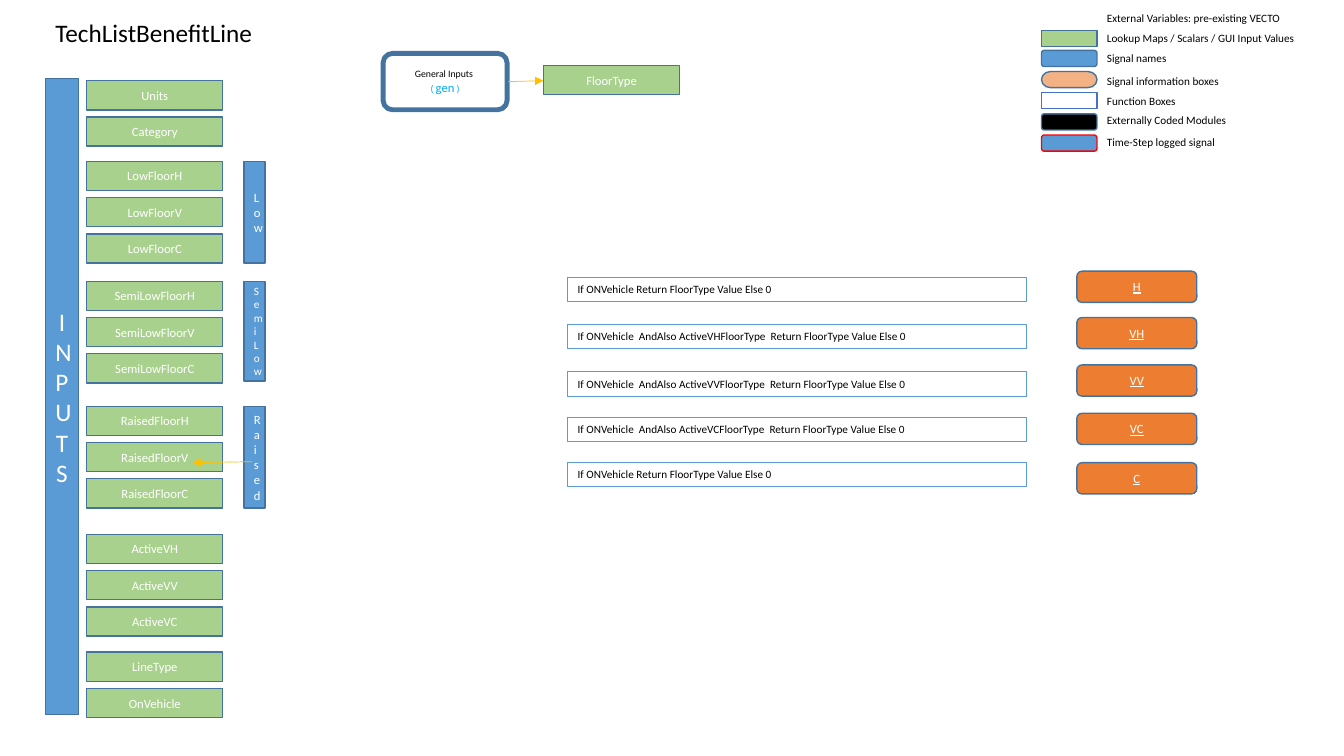
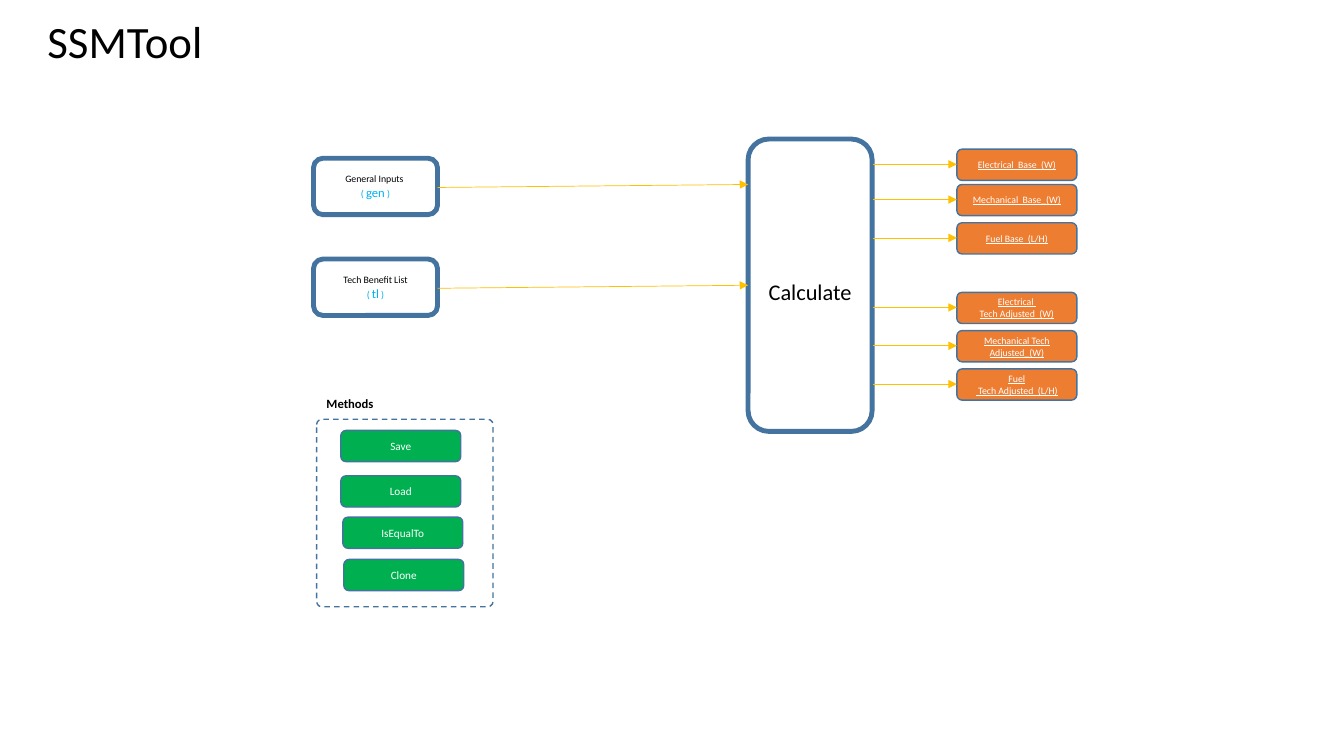
from lxml.etree import SubElement
from pptx import Presentation
from pptx.dml.color import RGBColor
from pptx.enum.dml import MSO_LINE
from pptx.enum.shapes import MSO_CONNECTOR, MSO_SHAPE
from pptx.enum.text import MSO_ANCHOR, MSO_AUTO_SIZE, PP_ALIGN
from pptx.oxml.ns import qn
from pptx.util import Inches, Pt

FONT = "Calibri"
BLACK = RGBColor(0x00, 0x00, 0x00)
WHITE = RGBColor(0xFF, 0xFF, 0xFF)
BLUE = RGBColor(0x5B, 0x9B, 0xD5)
DARK_BLUE = RGBColor(0x43, 0x73, 0x9E)
ROYAL_BLUE = RGBColor(0x44, 0x72, 0xC4)
SKY_BLUE = RGBColor(0x00, 0xB0, 0xF0)
LIGHT_GREEN = RGBColor(0xA9, 0xD1, 0x8E)
GREEN = RGBColor(0x00, 0xB0, 0x50)
ORANGE = RGBColor(0xED, 0x7D, 0x31)
PEACH = RGBColor(0xF4, 0xB1, 0x83)
GOLD = RGBColor(0xFF, 0xC0, 0x00)
RED = RGBColor(0xFF, 0x00, 0x00)

RECT = MSO_SHAPE.RECTANGLE
ROUND = MSO_SHAPE.ROUNDED_RECTANGLE


def add_box(slide, kind, at, fill, text="", size=9, color=WHITE, line=DARK_BLUE,
            weight=1, align=PP_ALIGN.CENTER, underline=None):
    box = slide.shapes.add_shape(kind, *map(Inches, at))
    box.shadow.inherit = False
    if fill is None:
        box.fill.background()
    else:
        box.fill.solid()
        box.fill.fore_color.rgb = fill
    box.line.color.rgb = line
    box.line.width = Pt(weight)
    if text:
        box.text_frame.text = text
    for paragraph in box.text_frame.paragraphs:
        paragraph.alignment = align
        for run in paragraph.runs:
            run.font.name = FONT
            run.font.size = Pt(size)
            run.font.color.rgb = color
            run.font.underline = underline
    return box


def add_arrow(slide, *ends):
    arrow = slide.shapes.add_connector(MSO_CONNECTOR.STRAIGHT, *map(Inches, ends))
    arrow.line.color.rgb = GOLD
    arrow.line.width = Pt(0.5)
    SubElement(arrow.line._get_or_add_ln(), qn("a:tailEnd"), type="triangle")
    SubElement(arrow._element.spPr, qn("a:effectLst"))


prs = Presentation()
prs.slide_width = Inches(13.33)
prs.slide_height = Inches(7.5)
benefit_line, ssm_tool = [prs.slides.add_slide(prs.slide_layouts[5]) for _ in range(2)]

# Titles
for slide, name, size, at in [
    (benefit_line, "TechListBenefitLine", 18, (0.45, 0.12, 3, 0.4)),
    (ssm_tool, "SSMTool", 32, (0.37, 0.09, 3, 0.64)),
]:
    title = slide.shapes.title
    title.left, title.top, title.width, title.height = map(Inches, at)
    title.text_frame.text = name
    title.text_frame.auto_size = MSO_AUTO_SIZE.NONE
    title.text_frame.vertical_anchor = MSO_ANCHOR.TOP
    heading = title.text_frame.paragraphs[0]
    heading.alignment = PP_ALIGN.LEFT
    heading.runs[0].font.name = FONT
    heading.runs[0].font.size = Pt(size)
    heading.runs[0].font.color.rgb = BLACK

# Legend swatches
for kind, top, fill, line in [
    (RECT, 0.3, LIGHT_GREEN, DARK_BLUE),
    (ROUND, 0.5, BLUE, DARK_BLUE),
    (MSO_SHAPE.FLOWCHART_TERMINATOR, 0.71, PEACH, DARK_BLUE),
    (RECT, 0.92, WHITE, ROYAL_BLUE),
    (ROUND, 1.13, BLACK, DARK_BLUE),
    (ROUND, 1.34, BLUE, RED),
]:
    add_box(benefit_line, kind, (10.33, top, 0.55, 0.16), fill, line=line)

# Legend captions and the methods heading
legend = [
    (0.06, "External Variables: pre-existing VECTO"),
    (0.26, "Lookup Maps / Scalars / GUI Input Values"),
    (0.46, "Signal names"),
    (0.69, "Signal information boxes"),
    (0.89, "Function Boxes"),
    (1.08, "Externally Coded Modules"),
    (1.29, "Time-Step logged signal"),
]
captions = [(benefit_line, 10.88, top, text, 8, None) for top, text in legend]
captions.append((ssm_tool, 3.14, 3.88, "Methods", 9, True))
for slide, left, top, text, size, bold in captions:
    caption = slide.shapes.add_textbox(Inches(left), Inches(top), Inches(2.3), Inches(0.24))
    caption.text_frame.word_wrap = True
    caption.text_frame.text = text
    font = caption.text_frame.paragraphs[0].runs[0].font
    font.name, font.size, font.bold = FONT, Pt(size), bold
    font.color.rgb = BLACK

# Input column: groups of evenly spaced fields
for group_top, fields in [
    (0.8, ["Units", "Category"]),
    (1.6, ["LowFloorH", "LowFloorV", "LowFloorC"]),
    (2.79, ["SemiLowFloorH", "SemiLowFloorV", "SemiLowFloorC"]),
    (4.03, ["RaisedFloorH", "RaisedFloorV", "RaisedFloorC"]),
    (5.3, ["ActiveVH", "ActiveVV", "ActiveVC"]),
    (6.47, ["LineType", "OnVehicle"]),
]:
    for row, field in enumerate(fields):
        add_box(benefit_line, RECT, (0.86, group_top + 0.36 * row, 1.35, 0.29), LIGHT_GREEN, field)
add_box(benefit_line, RECT, (5.39, 0.65, 1.35, 0.29), LIGHT_GREEN, "FloorType")

# Narrow bars whose letters stack
for at, text, size in [
    ((0.45, 0.78, 0.33, 6.31), "INPUTS", 18),
    ((2.42, 1.6, 0.21, 1.01), "Low", 9),
    ((2.42, 2.79, 0.21, 0.99), "SemiLow", 8),
    ((2.42, 4.03, 0.21, 1.01), "Raised", 9),
]:
    add_box(benefit_line, RECT, at, BLUE, text, size)

# Functions and the signals they return
for rule_top, signal_top, signal, condition in [
    (2.75, 2.69, "H", ""),
    (3.22, 3.15, "VH", " AndAlso ActiveVHFloorType "),
    (3.69, 3.62, "VV", " AndAlso ActiveVVFloorType "),
    (4.14, 4.1, "VC", " AndAlso ActiveVCFloorType "),
    (4.59, 4.59, "C", ""),
]:
    words = ["If ONVehicle", condition, "Return FloorType Value Else 0"]
    rule = add_box(benefit_line, RECT, (5.63, rule_top, 4.55, 0.24), None,
                   " ".join(word for word in words if word), 8, BLACK, BLUE, 0.75, PP_ALIGN.LEFT)
    rule.text_frame.vertical_anchor = MSO_ANCHOR.TOP
    add_box(benefit_line, ROUND, (10.68, signal_top, 1.19, 0.31), ORANGE, signal, underline=True)

# Source boxes with a short name below
for slide, left, top, source, short_name in [
    (benefit_line, 3.8, 0.53, "General Inputs ", "gen"),
    (ssm_tool, 3.11, 1.57, "General Inputs ", "gen"),
    (ssm_tool, 3.11, 2.57, "Tech Benefit List", "tl"),
]:
    source_box = add_box(slide, ROUND, (left, top, 1.23, 0.56), WHITE, source, 7, BLACK, weight=3.5)
    short_line = source_box.text_frame.add_paragraph()
    short_line.alignment = PP_ALIGN.CENTER
    for text, size in [("( ", 7), (short_name, 9), (" )", 7)]:
        run = short_line.add_run()
        run.text = text
        run.font.name = FONT
        run.font.size = Pt(size)
        run.font.color.rgb = SKY_BLUE

add_arrow(benefit_line, 2.5, 4.58, 1.91, 4.59)
add_arrow(benefit_line, 5.04, 0.81, 5.39, 0.8)

# Calculation and its results
calculate = add_box(ssm_tool, ROUND, (7.42, 1.38, 1.23, 2.9), WHITE, "Calculate", 16, BLACK, weight=3.5)
calculate.text_frame.margin_top = Inches(0.17)
for top, result in [
    (1.48, "Electrical  Base  (W)"),
    (1.83, "Mechanical  Base_(W)"),
    (2.21, "Fuel Base  (L/H)"),
    (2.9, "Electrical \nTech Adjusted  (W)"),
    (3.28, "Mechanical Tech Adjusted_(W)"),
    (3.66, "Fuel\n Tech Adjusted  (L/H)"),
]:
    add_box(ssm_tool, ROUND, (9.49, top, 1.19, 0.31), ORANGE, result, 7, underline=True)
    add_arrow(ssm_tool, 8.66, top + 0.15, 9.49, top + 0.15)
for top in (1.86, 2.86):
    add_arrow(ssm_tool, 4.34, top, 7.42, top - 0.03)

# Methods
methods_frame = add_box(ssm_tool, ROUND, (3.14, 4.16, 1.75, 1.86), None)
methods_frame.adjustments[0] = 0.03
methods_frame.line.dash_style = MSO_LINE.DASH
for left, top, method in [
    (3.38, 4.27, "Save"),
    (3.38, 4.72, "Load"),
    (3.4, 5.13, "IsEqualTo"),
    (3.41, 5.55, "Clone"),
]:
    add_box(ssm_tool, ROUND, (left, top, 1.19, 0.31), GREEN, method, 8)

prs.save("out.pptx")
